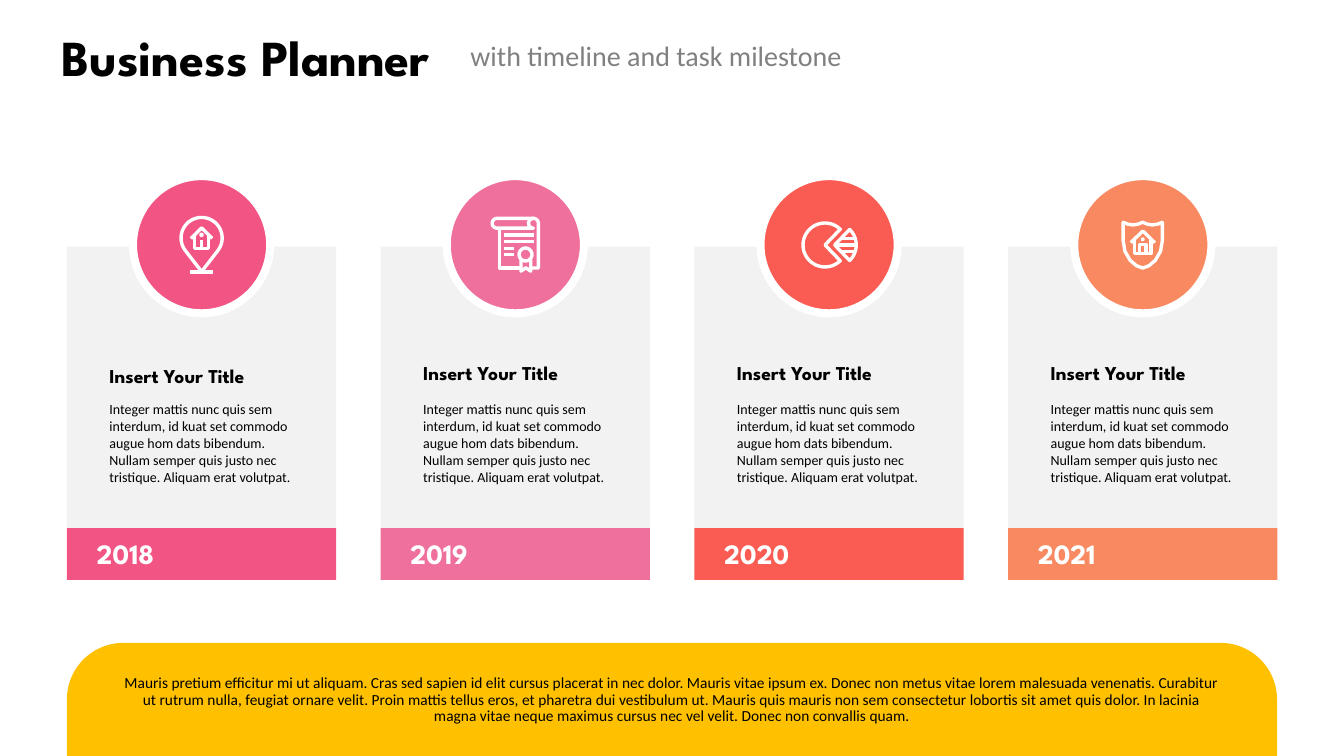
from math import cos, radians, sin

from pptx import Presentation
from pptx.dml.color import RGBColor
from pptx.enum.shapes import MSO_SHAPE as Preset
from pptx.enum.text import MSO_ANCHOR as Anchor, PP_ALIGN as Align
from pptx.util import Pt

BLACK = RGBColor(0, 0, 0)
WHITE = RGBColor(255, 255, 255)
GRAY = RGBColor(0x80, 0x80, 0x80)
CARD = RGBColor(0xF2, 0xF2, 0xF2)
AMBER = RGBColor(0xFF, 0xC0, 0x00)
ROSE = RGBColor(0xF2, 0x54, 0x84)
PINK = RGBColor(0xEF, 0x70, 0x9D)
RED = RGBColor(0xFA, 0x5B, 0x52)
ORANGE = RGBColor(0xF8, 0x89, 0x60)
HEADING_FONT = "League Spartan"
BODY_FONT = "Calibri"

presentation = Presentation()
presentation.slide_width = Pt(960)
presentation.slide_height = Pt(540)
slide = presentation.slides.add_slide(presentation.slide_layouts[6])


def add_text(text, left, top, width, height, size, font=BODY_FONT, color=BLACK,
             anchor=Anchor.TOP, align=Align.LEFT, spacing=1.0):
    box = slide.shapes.add_textbox(Pt(left), Pt(top), Pt(width), Pt(height))
    frame = box.text_frame
    frame.word_wrap = True
    frame.vertical_anchor = anchor
    paragraph = frame.paragraphs[0]
    paragraph.text = text
    paragraph.alignment = align
    paragraph.line_spacing = spacing
    paragraph.font.name = font
    paragraph.font.size = Pt(size)
    paragraph.font.bold = font == HEADING_FONT
    paragraph.font.color.rgb = color


def arc(x, y, radius, start, end, steps=32):
    angles = [radians(start + (end - start) * step / steps) for step in range(steps + 1)]
    return [(x + radius * cos(angle), y + radius * sin(angle)) for angle in angles]


pin_icon = [
    [(0, 19)] + arc(0, -5, 14.7, 145, 395) + [(0, 19)],
    [(-8, 19.2), (8, 19.2)],
    [(-7.6, -4.6), (0, -12.2), (7.6, -4.6)],
    [(-4.9, -7), (-4.9, 2.4), (4.9, 2.4), (4.9, -7)],
    [(0, -3.5), (0, 2)],
    arc(0, -7.2, 0.4, 0, 360),
]
certificate_icon = [
    arc(-13, -15.5, 3.5, 90, 270) + arc(13, -15.5, 3.5, 270, 360)
    + [(16.5, 16.4), (12, 16.4)],
    arc(13, -15.5, 3.5, 270, 90) + [(-13, -12)],
    [(-11.5, -12), (-11.5, 16.4), (3, 16.4)],
    arc(7.3, 6.8, 4.6, 0, 360),
    [(4, 10.5), (4, 18.7), (7.5, 16.3), (11, 18.7), (11, 10.5)],
    [(-8, -7.2), (13, -7.2)],
    [(-8, -2.3), (13, -2.3)],
    [(-8, 2.4), (-1, 2.4)],
    [(-8, 7), (-1, 7)],
]
pie_icon = [
    [(-2.9, 0)] + arc(-2.9, 0, 15.7, 46, 314) + [(-2.9, 0)],
    [(4, 0)] + arc(4, 0, 15.4, -46, 46) + [(4, 0)],
    [(8.6, -4.7), (18.5, -4.7)],
    [(4, 0), (19, 0)],
    [(8.6, 4.7), (18.5, 4.7)],
]
shield_icon = [
    [(-14, -16.2), (-10.5, -14.8), (-7, -14.3), (-3.5, -14.8), (0, -16.2),
     (3.5, -14.8), (7, -14.3), (10.5, -14.8), (14, -16.2), (14, -3),
     (12.7, 4.5), (9, 11), (4.5, 14.8), (0, 16.5), (-4.5, 14.8), (-9, 11),
     (-12.7, 4.5), (-14, -3), (-14, -16.2)],
    [(-8.6, -1.6), (0, -10), (8.6, -1.6)],
    [(-6, -4), (-6, 6), (6, 6), (6, -4)],
    [(-2.3, 6), (-2.3, -0.3), (2.3, -0.3), (2.3, 6)],
    arc(0, -4, 0.2, 0, 360),
]

milestones = [
    ("2018", ROSE, pin_icon),
    ("2019", PINK, certificate_icon),
    ("2020", RED, pie_icon),
    ("2021", ORANGE, shield_icon),
]
description = (
    "Integer mattis nunc quis sem interdum, id kuat set commodo augue hom dats "
    "bibendum. Nullam semper quis justo nec tristique. Aliquam erat volutpat."
)
summary = (
    "Mauris pretium efficitur mi ut aliquam. Cras sed sapien id elit cursus placerat "
    "in nec dolor. Mauris vitae ipsum ex. Donec non metus vitae lorem malesuada "
    "venenatis. Curabitur ut rutrum nulla, feugiat ornare velit. Proin mattis tellus "
    "eros, et pharetra dui vestibulum ut. Mauris quis mauris non sem consectetur "
    "lobortis sit amet quis dolor. In lacinia magna vitae neque maximus cursus nec "
    "vel velit. Donec non convallis quam."
)

banner = slide.shapes.add_shape(
    Preset.ROUND_2_SAME_RECTANGLE, Pt(47.8), Pt(459.2), Pt(864.4), Pt(80.8))
banner.adjustments[0] = 0.5
banner.adjustments[1] = 0
banner.shadow.inherit = False
banner.fill.solid()
banner.fill.fore_color.rgb = AMBER
banner.line.fill.background()
add_text(summary, 80.6, 478.8, 799, 44, 11, align=Align.CENTER, spacing=0.9)

add_text("Business Planner", 23, 18.7, 305.3, 43.2, 36, HEADING_FONT,
         anchor=Anchor.MIDDLE, align=Align.CENTER)
add_text("with timeline and task milestone", 329, 23.8, 338.4, 31.7, 20,
         color=GRAY, anchor=Anchor.MIDDLE)

for index, (year, color, icon) in enumerate(milestones):
    left = 47.8 + 224.1 * index
    for preset, offset, top, width, height, fill in [
        (Preset.RECTANGLE, 0, 176.2, 192.4, 201.4, CARD),
        (Preset.OVAL, 47.2, 125.8, 98, 98, color),
        (Preset.RECTANGLE, 0, 377.3, 192.4, 36.9, color),
    ]:
        shape = slide.shapes.add_shape(
            preset, Pt(left + offset), Pt(top), Pt(width), Pt(height))
        shape.shadow.inherit = False
        shape.fill.solid()
        shape.fill.fore_color.rgb = fill
        if preset == Preset.OVAL:
            shape.line.color.rgb = WHITE
            shape.line.width = Pt(5.75)
        else:
            shape.line.fill.background()

    for stroke in icon:
        points = [(Pt(left + 96.2 + x), Pt(175 + y)) for x, y in stroke]
        builder = slide.shapes.build_freeform(*points[0])
        builder.add_line_segments(points[1:], close=False)
        outline = builder.convert_to_shape()
        outline.shadow.inherit = False
        outline.fill.background()
        outline.line.color.rgb = WHITE
        outline.line.width = Pt(2.4)

    first = index == 0
    add_text("Insert Your Title", left + 23.3, 256.3, 144.7, 24.5, 14, HEADING_FONT,
             anchor=Anchor.MIDDLE if first else Anchor.TOP,
             spacing=1.0 if first else 0.9)
    add_text(description, left + 23.3, 276.5, 144.7, 79.9, 10, anchor=Anchor.MIDDLE)
    add_text(year, left + 14.2, 382.3, 80.6, 31.7, 20, HEADING_FONT, WHITE, spacing=0.9)

presentation.save("out.pptx")
